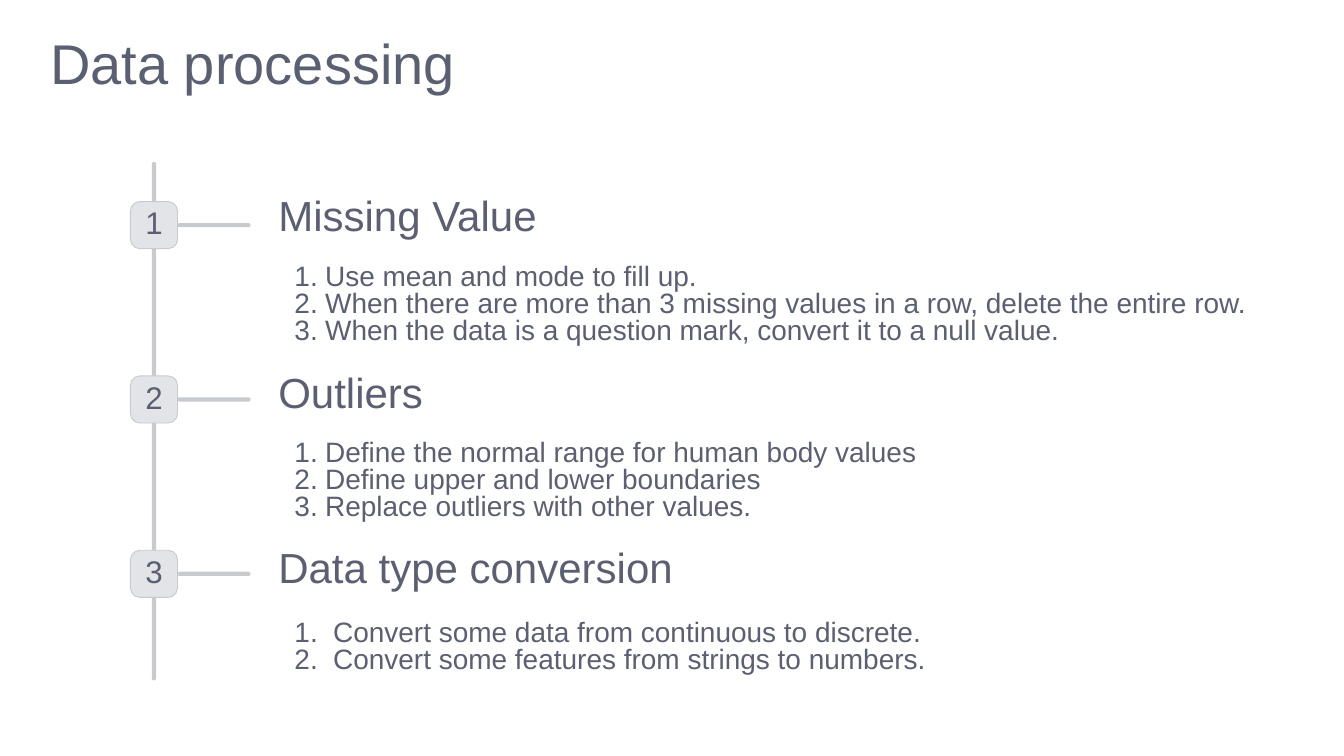
from lxml import etree
from pptx import Presentation
from pptx.dml.color import RGBColor
from pptx.enum.shapes import MSO_SHAPE
from pptx.enum.text import PP_ALIGN
from pptx.oxml.ns import qn
from pptx.util import Cm, Pt

ROUNDED = MSO_SHAPE.ROUNDED_RECTANGLE
LEFT, CENTER = PP_ALIGN.LEFT, PP_ALIGN.CENTER

TITLE_COLOR = RGBColor(0x5B, 0x5F, 0x72)
TEXT_COLOR = RGBColor(0x5B, 0x5F, 0x71)
LINE_COLOR = RGBColor(0xC9, 0xCA, 0xCE)
BADGE_COLOR = RGBColor(0xE3, 0xE4, 0xE8)

# Font size and line spacing in points, per kind of text
FORMATS = {
    "title": {"size": 60, "spacing": 56.3, "color": TITLE_COLOR, "alignment": LEFT},
    "heading": {"size": 45, "spacing": 28.2, "color": TEXT_COLOR, "alignment": LEFT},
    "list": {"size": 30, "spacing": 28.8, "color": TEXT_COLOR, "alignment": LEFT},
    "number": {"size": 33.5, "spacing": 33.5, "color": TEXT_COLOR, "alignment": CENTER},
}

# Timeline geometry in centimetres
AXIS_X = 5.82
FIRST_Y, STEP_Y = 8.51, 6.59
BADGE = 1.78
BAR = 0.16
BRANCH = 2.76
TEXT_X = 10.52
BULLET_INDENT = 0.61

# Each step: heading, heading top, list top, list width, hanging indent, list items
STEPS = [
    ("Missing Value", 8.08, 10.03, 37, 1.16, [
        "Use mean and mode to fill up.",
        "When there are more than 3 missing values in a row, delete the entire row.",
        "When the data is a question mark, convert it to a null value.",
    ]),
    ("Outliers", 14.78, 16.69, 37, 1.16, [
        "Define the normal range for human body values",
        "Define upper and lower boundaries",
        "Replace outliers with other values.",
    ]),
    ("Data type conversion", 21.39, 23.47, 25.32, 1.46, [
        "Convert some data from continuous to discrete.",
        "Convert some features from strings to numbers.",
    ]),
]


class SlideBuilder:
    font_name = "Arial"

    def __init__(self, slide):
        self.slide = slide

    def rounded(self, left, top, width, height, fill, radius, outline=None):
        shape = self.slide.shapes.add_shape(
            ROUNDED, Cm(left), Cm(top), Cm(width), Cm(height))
        shape.adjustments[0] = radius
        shape.shadow.inherit = False
        shape.fill.solid()
        shape.fill.fore_color.rgb = fill
        if outline is None:
            shape.line.fill.background()
        else:
            shape.line.color.rgb = outline
            shape.line.width = Pt(1)

    def bar(self, left, top, width, height):
        self.rounded(left, top, width, height, LINE_COLOR, 0.5)

    def text(self, left, top, width, height, lines, kind):
        box = self.slide.shapes.add_textbox(Cm(left), Cm(top), Cm(width), Cm(height))
        frame = box.text_frame
        frame.word_wrap = True
        for side in ("left", "top", "right", "bottom"):
            setattr(frame, f"margin_{side}", 0)
        frame.text = "\n".join(lines)
        style = FORMATS[kind]
        for paragraph in frame.paragraphs:
            paragraph.alignment = style["alignment"]
            paragraph.line_spacing = Pt(style["spacing"])
            font = paragraph.runs[0].font
            values = {"name": self.font_name, "size": Pt(style["size"])}
            for name, value in values.items():
                setattr(font, name, value)
            font.color.rgb = style["color"]
        return frame

    def numbered_list(self, left, top, width, items, hanging):
        height = len(items) * 1.02
        frame = self.text(left, top, width, height, items, "list")
        for paragraph in frame.paragraphs:
            paragraph.level = 1
            properties = paragraph._p.get_or_add_pPr()
            properties.set("marL", str(Cm(BULLET_INDENT + hanging)))
            properties.set("indent", str(-Cm(hanging)))
            numbering = etree.SubElement(properties, qn("a:buAutoNum"))
            numbering.set("type", "arabicPeriod")


def main():
    presentation = Presentation()
    presentation.slide_width = Cm(50.8)
    presentation.slide_height = Cm(28.575)
    builder = SlideBuilder(
        presentation.slides.add_slide(presentation.slide_layouts[6]))

    # Title
    builder.text(1.9, 1.63, 19.15, 2.18, ["Data processing"], "title")

    # Timeline axis
    builder.bar(AXIS_X - BAR / 2, 6.12, BAR, 19.6)

    # Steps: branch, numbered badge, heading and list
    for index, step in enumerate(STEPS):
        heading, heading_top, list_top, list_width, hanging, items = step
        center_y = FIRST_Y + index * STEP_Y
        builder.bar(AXIS_X + BADGE / 2, center_y - BAR / 2, BRANCH, BAR)
        builder.rounded(AXIS_X - BADGE / 2, center_y - BADGE / 2, BADGE, BADGE,
                        BADGE_COLOR, 0.2, LINE_COLOR)
        builder.text(TEXT_X, heading_top, 17.35, 1.27, [heading], "heading")
        builder.numbered_list(TEXT_X, list_top, list_width, items, hanging)
        builder.text(AXIS_X - 0.74, center_y - 0.58, 1.48, 1.3,
                     [str(index + 1)], "number")

    presentation.save("out.pptx")


if __name__ == "__main__":
    main()
